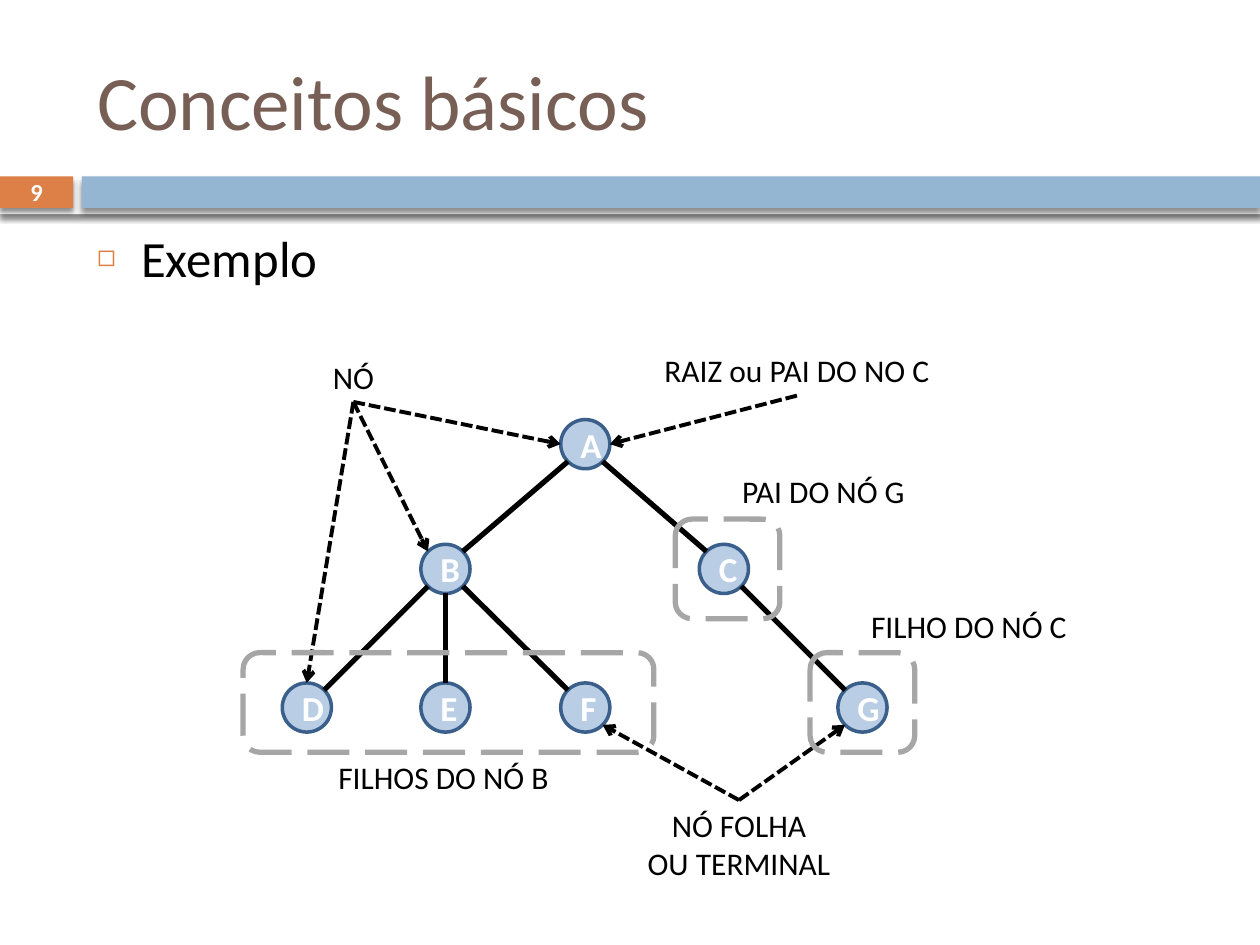
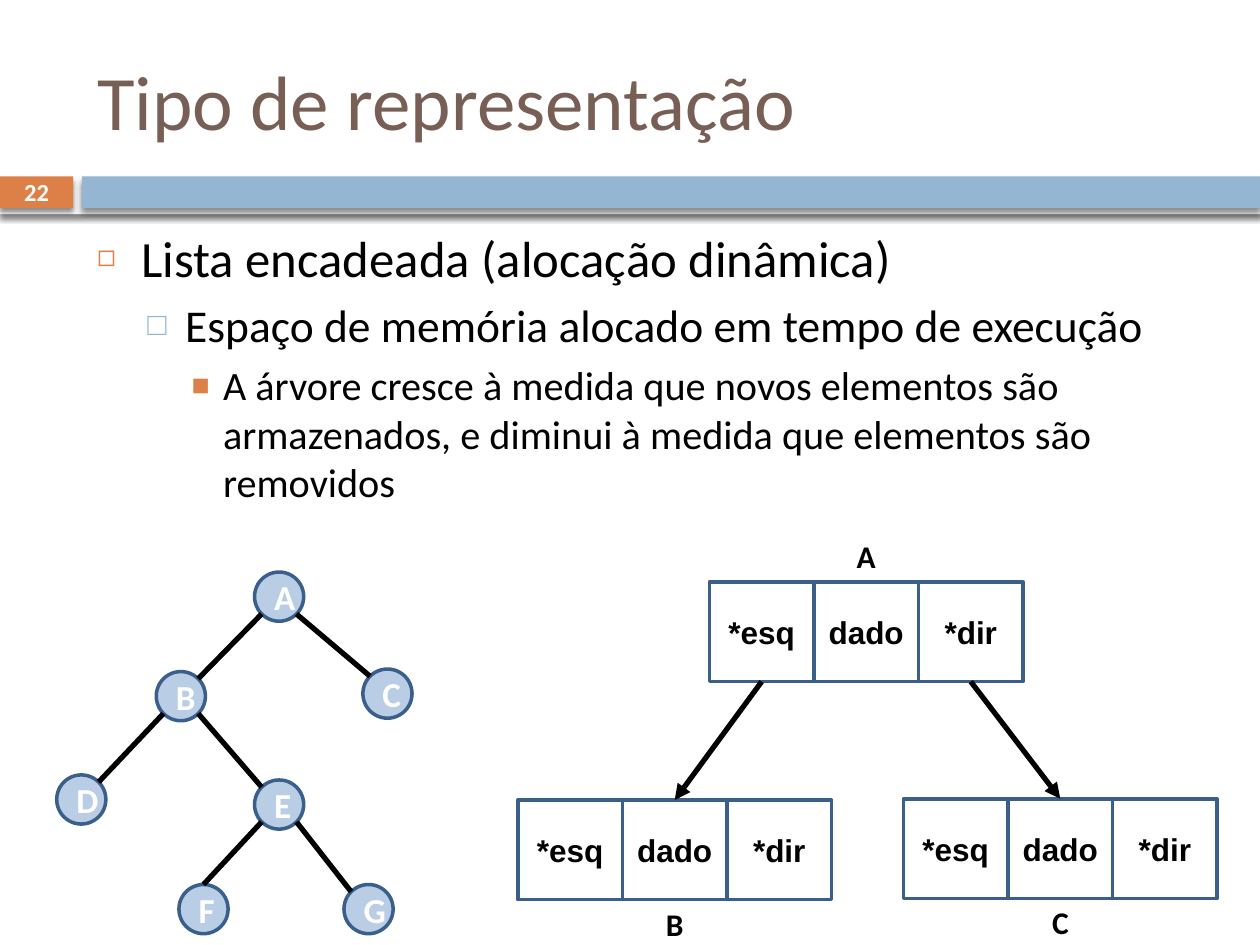
from lxml import etree
from pptx import Presentation
from pptx.dml.color import RGBColor
from pptx.enum.dml import MSO_LINE
from pptx.enum.shapes import MSO_CONNECTOR, MSO_SHAPE
from pptx.enum.text import MSO_ANCHOR, MSO_AUTO_SIZE, PP_ALIGN
from pptx.oxml.ns import qn
from pptx.util import Inches, Pt

STRAIGHT = MSO_CONNECTOR.STRAIGHT
RECTANGLE = MSO_SHAPE.RECTANGLE
ROUNDED = MSO_SHAPE.ROUNDED_RECTANGLE
OVAL = MSO_SHAPE.OVAL
LONG_DASH, SHORT_DASH = MSO_LINE.LONG_DASH, MSO_LINE.SQUARE_DOT
LEFT, CENTER = PP_ALIGN.LEFT, PP_ALIGN.CENTER
TOP, MIDDLE = MSO_ANCHOR.TOP, MSO_ANCHOR.MIDDLE
NO_AUTOFIT = MSO_AUTO_SIZE.NONE

BLACK, WHITE, BROWN = "000000", "FFFFFF", "775F55"
ORANGE, BLUE, GREY = "DD8047", "94B6D2", "A6A6A6"
NODE_FILL, NODE_LINE = "B9CDE5", "3A5F8B"

BANDS = [
    (0, 1.35, 10, 0.35, WHITE),
    (0, 1.4, 0.58, 0.25, ORANGE),
    (0.65, 1.4, 9.35, 0.25, BLUE),
]
LEVELS = [
    dict(margin=0.35, indent=-0.35, before=7, bullet="◻", color=ORANGE, percent=60, size=29),
    dict(margin=0.7, indent=-0.3, before=5.5, bullet="□", color=BLUE, percent=70, size=26),
    dict(margin=1, indent=-0.25, before=5, bullet="■", color=ORANGE, percent=75, size=23),
]

CONCEPTS_ITEMS = ["Exemplo"]
CONCEPTS_NODES = {
    "A": (4.45, 3.33), "B": (3.34, 4.32), "C": (5.55, 4.32),
    "D": (2.24, 5.42), "E": (3.34, 5.42), "F": (4.45, 5.42), "G": (6.65, 5.42),
}
CONCEPTS_EDGES = [
    ("A", "bottom left", "B", "top right"),
    ("A", "bottom right", "C", "top left"),
    ("B", "bottom left", "D", "top right"),
    ("B", "bottom", "E", "top"),
    ("B", "bottom right", "F", "top left"),
    ("C", "bottom right", "G", "top left"),
]
CONCEPTS_LABELS = {
    "root": ("RAIZ ou PAI DO NO C", 4.96, 2.74, 2.73, 0.4),
    "leaf": ("NÓ FOLHA\nOU TERMINAL", 4.69, 6.35, 2.35, 0.7),
    "node": ("NÓ", 1.93, 2.79, 1.75, 0.4),
    "children of B": ("FILHOS DO NÓ B", 2.08, 5.97, 2.88, 0.4),
    "parent of G": ("PAI DO NÓ G", 5.55, 3.7, 1.97, 0.4),
    "child of C": ("FILHO DO NÓ C", 6.61, 4.77, 2.16, 0.4),
}
CONCEPTS_POINTERS = [
    ("root", 2, "A", "right"),
    ("leaf", 0, "F", "bottom right"),
    ("leaf", 0, "G", "bottom left"),
    ("node", 2, "A", "left"),
    ("node", 2, "B", "top left"),
    ("node", 2, "D", "top"),
]
CONCEPTS_FRAMES = [(1.93, 5.18, 3.26), (5.36, 4.12, 0.83), (6.43, 5.18, 0.83)]

LIST_ITEMS = [
    "Lista encadeada (alocação dinâmica)",
    "Espaço de memória alocado em tempo de execução",
    "A árvore cresce à medida que novos elementos são armazenados, "
    "e diminui à medida que elementos são removidos",
]
LIST_NODES = {
    "A": (2.02, 4.54), "B": (1.24, 5.33), "C": (2.88, 5.31),
    "D": (0.45, 6.15), "E": (2.02, 6.19), "F": (1.42, 7.02), "G": (2.73, 7.02),
}
LIST_EDGES = [
    ("A", "bottom left", "B", "top right"),
    ("A", "bottom right", "C", "top left"),
    ("B", "bottom left", "D", "top right"),
    ("B", "bottom right", "E", "top left"),
    ("E", "bottom left", "F", "top"),
    ("E", "bottom right", "G", "top left"),
]
FIELDS = ["*esq", "dado", "*dir"]
ABOVE, BELOW = -0.41, 0.78
RECORDS = {
    "A": (5.63, 4.62, ABOVE),
    "B": (4.11, 6.35, BELOW),
    "C": (7.17, 6.34, BELOW),
}
RECORD_LINKS = [("A", "*esq", "B"), ("A", "*dir", "C")]

NODE_SIZE = 0.39
CELL_WIDTH, BOX_HEIGHT = 0.83, 0.79
LABEL_WIDTH, LABEL_HEIGHT = 2.88, 0.4
DIAGONAL = 0.71


def rgb(color):
    return RGBColor.from_string(color)


def box(*lengths):
    return [Inches(length) for length in lengths]


def write(shape, text, size, color=BLACK, bold=False, font="Calibri", align=CENTER, anchor=TOP):
    frame = shape.text_frame
    frame.text = text
    frame.word_wrap = True
    frame.auto_size = NO_AUTOFIT
    frame.vertical_anchor = anchor
    for paragraph in frame.paragraphs:
        paragraph.alignment = align
        for run in paragraph.runs:
            run.font.name = font
            run.font.size = Pt(size)
            run.font.bold = bold
            run.font.color.rgb = rgb(color)


def add_label(slide, text, place, size=18, **style):
    label = slide.shapes.add_textbox(*box(*place))
    write(label, text, size, **style)
    return label


def add_box(slide, kind, place, fill=None, line=None, width=2):
    shape = slide.shapes.add_shape(kind, *box(*place))
    shape.shadow.inherit = False
    if fill:
        shape.fill.solid()
        shape.fill.fore_color.rgb = rgb(fill)
    else:
        shape.fill.background()
    if line:
        shape.line.color.rgb = rgb(line)
        shape.line.width = Pt(width)
    else:
        shape.line.fill.background()
    return shape


def add_line(slide, start, end, width=3, arrow=None):
    connector = slide.shapes.add_connector(STRAIGHT, *box(*start, *end))
    connector.line.color.rgb = rgb(BLACK)
    connector.line.width = Pt(width)
    if arrow:
        etree.SubElement(connector.line._get_or_add_ln(), qn("a:tailEnd"), type=arrow)
    etree.SubElement(connector._element.spPr, qn("a:effectLst"))
    return connector


def add_band(slide, left, top, width, height, fill):
    band = add_box(slide, RECTANGLE, (left, top, width, height), fill)
    effects = band._element.spPr.find(qn("a:effectLst"))
    shadow = etree.SubElement(effects, qn("a:outerShdw"), blurRad=str(Pt(3)),
                              dist=str(Pt(2.4)), dir="5400000", rotWithShape="0")
    shade = etree.SubElement(shadow, qn("a:srgbClr"), val=BLACK)
    etree.SubElement(shade, qn("a:alpha"), val="45000")


def format_level(paragraph, level, style, first):
    paragraph.level = level
    properties = paragraph._p.get_or_add_pPr()
    properties.set("marL", str(Inches(style["margin"])))
    properties.set("indent", str(Inches(style["indent"])))
    bullet_color = etree.SubElement(properties, qn("a:buClr"))
    etree.SubElement(bullet_color, qn("a:srgbClr"), val=style["color"])
    etree.SubElement(properties, qn("a:buSzPct"), val=str(style["percent"] * 1000))
    etree.SubElement(properties, qn("a:buChar"), char=style["bullet"])
    paragraph.space_before = Pt(0 if first else style["before"])
    for run in paragraph.runs:
        run.font.size = Pt(style["size"])


def add_slide(presentation, title, number, items):
    slide = presentation.slides.add_slide(presentation.slide_layouts[1])
    for band in BANDS:
        add_band(slide, *band)
    heading, body = slide.shapes.title, slide.placeholders[1]
    heading.left, heading.top, heading.width, heading.height = box(0.67, 0.25, 8.92, 1.08)
    write(heading, title, 44, BROWN, align=LEFT, anchor=MIDDLE)
    body.left, body.top, body.width, body.height = box(0.67, 1.75, 8.92, 4.92)
    write(body, "\n".join(items), 29, align=LEFT)
    for level, paragraph in enumerate(body.text_frame.paragraphs):
        format_level(paragraph, level, LEVELS[level], level == 0)
    add_label(slide, number, (0, 1.39, 0.58, 0.27), 14, color=WHITE, bold=True, anchor=MIDDLE)
    return slide


def node_point(corner, side):
    radius = NODE_SIZE / 2
    reach = radius * DIAGONAL if " " in side else radius
    across = ("right" in side) - ("left" in side)
    down = ("bottom" in side) - ("top" in side)
    return corner[0] + radius + across * reach, corner[1] + radius + down * reach


def add_tree(slide, nodes, edges):
    for name, corner in nodes.items():
        node = add_box(slide, OVAL, (*corner, NODE_SIZE, NODE_SIZE), NODE_FILL, NODE_LINE)
        write(node, name, 20, WHITE, bold=True, anchor=MIDDLE)
    for parent, parent_side, child, child_side in edges:
        add_line(slide, node_point(nodes[parent], parent_side),
                 node_point(nodes[child], child_side))


def build_concepts(presentation):
    slide = add_slide(presentation, "Conceitos básicos", "9", CONCEPTS_ITEMS)
    add_tree(slide, CONCEPTS_NODES, CONCEPTS_EDGES)
    labels = {name: add_label(slide, text, place)
              for name, (text, *place) in CONCEPTS_LABELS.items()}
    for label, site, node, side in CONCEPTS_POINTERS:
        target = node_point(CONCEPTS_NODES[node], side)
        pointer = add_line(slide, target, target, 2.25, "arrow")
        pointer.begin_connect(labels[label], site)
        pointer.line.dash_style = SHORT_DASH
    for left, top, width in CONCEPTS_FRAMES:
        frame = add_box(slide, ROUNDED, (left, top, width, BOX_HEIGHT), line=GREY, width=3)
        frame.line.dash_style = LONG_DASH


def build_linked_list(presentation):
    slide = add_slide(presentation, "Tipo de representação", "22", LIST_ITEMS)
    add_tree(slide, LIST_NODES, LIST_EDGES)
    cells = {}
    for name, (left, top, label_shift) in RECORDS.items():
        for index, field in enumerate(FIELDS):
            place = (left + index * CELL_WIDTH, top, CELL_WIDTH, BOX_HEIGHT)
            cell = add_box(slide, RECTANGLE, place, line=NODE_LINE)
            write(cell, field, 18, bold=True, font="Arial", anchor=MIDDLE)
            cells[name, field] = cell
        label_left = left + (len(FIELDS) * CELL_WIDTH - LABEL_WIDTH) / 2
        add_label(slide, name, (label_left, top + label_shift, LABEL_WIDTH, LABEL_HEIGHT), bold=True)
    for parent, field, child in RECORD_LINKS:
        link = add_line(slide, (0, 0), (1, 1), arrow="triangle")
        link.begin_connect(cells[parent, field], 2)
        link.end_connect(cells[child, "dado"], 0)


def main():
    presentation = Presentation()
    presentation.slide_width, presentation.slide_height = box(10, 7.5)
    build_concepts(presentation)
    build_linked_list(presentation)
    presentation.save("out.pptx")


if __name__ == "__main__":
    main()
